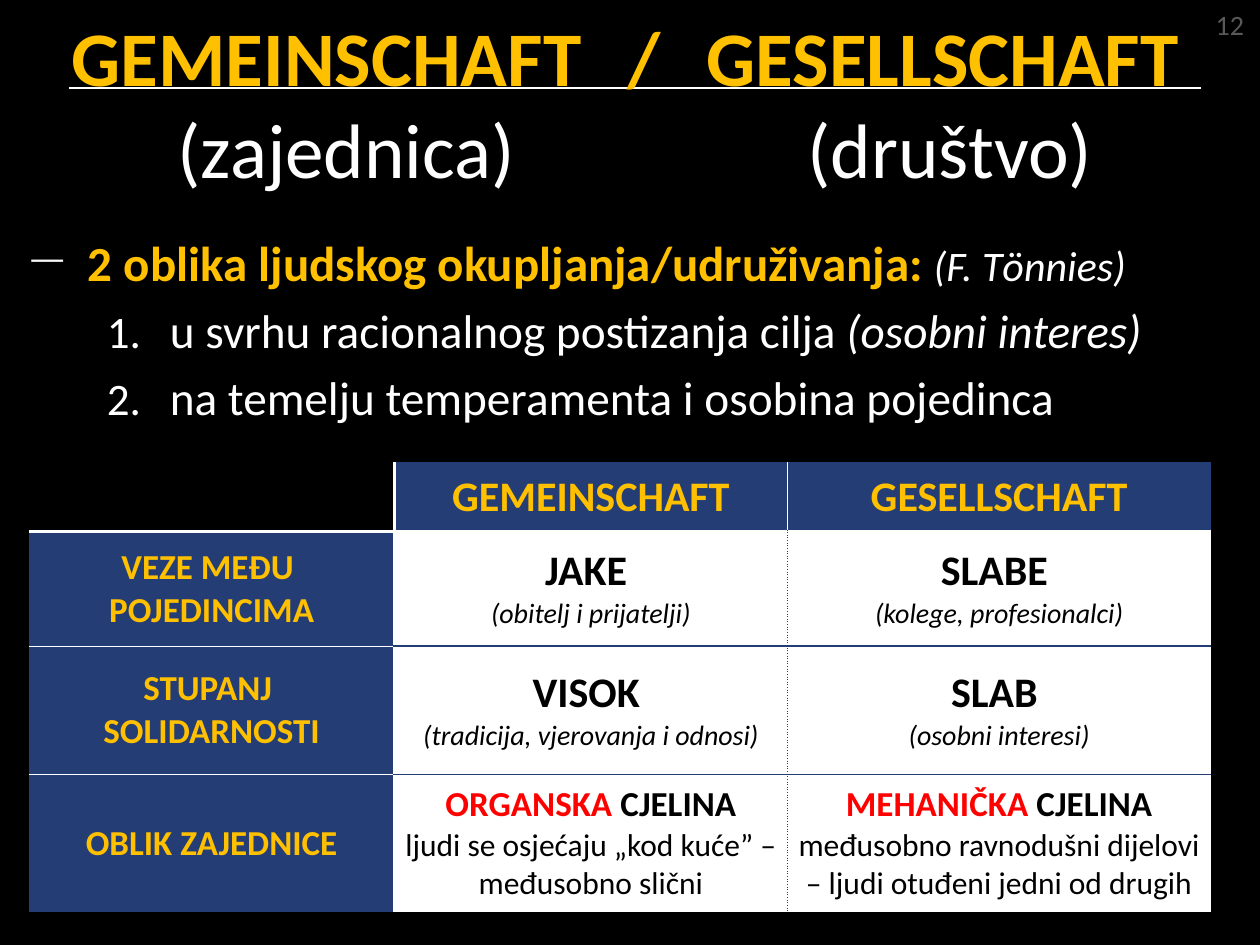
from lxml import etree
from pptx import Presentation
from pptx import util as u
from pptx.dml.color import RGBColor
from pptx.enum import shapes, text
from pptx.oxml import ns

BLACK = RGBColor(0x00, 0x00, 0x00)
WHITE = RGBColor(0xFF, 0xFF, 0xFF)
GOLD = RGBColor(0xFF, 0xC0, 0x00)
NAVY = RGBColor(0x25, 0x3D, 0x75)
RED = RGBColor(0xFF, 0x00, 0x00)
GREY = RGBColor(0x59, 0x59, 0x59)
DASH_GREY = RGBColor(0xF9, 0xF9, 0xF9)

FONT = "Calibri"
WIDTH, HEIGHT = 10, 7.5
COLUMNS = (2.9, 3.12, 3.36)
ROWS = (0.54, 0.91, 1.02, 1.08)
CELL_INSET = 0.07
NO_STYLE = "{2D5ABB26-0587-4C30-8999-92F81FD0307C}"

STYLES = {
    "title": (44.1, GOLD, True, False),
    "translation": (44.1, WHITE, False, False),
    "claim": (28, GOLD, True, False),
    "author": (24, WHITE, False, True),
    "point": (27, WHITE, False, False),
    "aside": (27, WHITE, False, True),
    "number": (16, GREY, False, False),
    "heading": (24, GOLD, True, False),
    "label": (20, GOLD, True, False),
    "degree": (24, BLACK, True, False),
    "example": (16, BLACK, False, True),
    "kind": (20, RED, True, False),
    "whole": (20, BLACK, True, False),
    "detail": (18, BLACK, False, False),
}

TITLE = [
    ([("GEMEINSCHAFT\t/\tGESELLSCHAFT", "title")], (4.41, 5.04)),
    ([("\t(zajednica)\t(društvo)", "translation")], (0.84, 5.84)),
]
DASH = ("buChar", {"char": "—"}, DASH_GREY, 65, 0.6, -0.45)
NUMERAL = ("buAutoNum", {"type": "arabicPeriod"}, WHITE, 95, 1.25, -0.5)
CLAIMS = [
    ([("2 oblika ljudskog okupljanja/udruživanja: ", "claim"), ("(F. Tӧnnies)", "author")], DASH),
    ([("u svrhu racionalnog postizanja cilja ", "point"), ("(osobni interes)", "aside")], NUMERAL),
    ([("na temelju temperamenta i osobina pojedinca", "point")], NUMERAL),
]


def degree(word, example):
    return [[(word + " ", "degree")], [(example, "example")]]


def whole(kind, detail):
    return [[(kind + " ", "kind"), ("CJELINA", "whole")], [(detail, "detail")]]


COMPARISON = [
    [[], [[("GEMEINSCHAFT", "heading")]], [[("GESELLSCHAFT", "heading")]]],
    [[[("VEZE MEĐU ", "label")], [("POJEDINCIMA", "label")]],
     degree("JAKE", "(obitelj i prijatelji)"),
     degree("SLABE", "(kolege, profesionalci)")],
    [[[("STUPANJ ", "label")], [("SOLIDARNOSTI", "label")]],
     degree("VISOK", "(tradicija, vjerovanja i odnosi)"),
     degree("SLAB", "(osobni interesi)")],
    [[[("OBLIK ZAJEDNICE", "label")]],
     whole("ORGANSKA", "ljudi se osjećaju „kod kuće” – međusobno slični"),
     whole("MEHANIČKA", "međusobno ravnodušni dijelovi – ljudi otuđeni jedni od drugih")],
]


def element(parent, tag, **attributes):
    return etree.SubElement(parent, ns.qn("a:" + tag), attributes)


def write(paragraph, runs):
    for words, style in runs:
        run = paragraph.add_run()
        run.text = words
        size, colour, bold, italic = STYLES[style]
        formats = {"name": FONT, "size": u.Pt(size), "bold": bold, "italic": italic}
        for attribute, value in formats.items():
            setattr(run.font, attribute, value)
        run.font.color.rgb = colour


def paragraphs(frame, count):
    return [frame.paragraphs[0]] + [frame.add_paragraph() for _ in range(count - 1)]


def text_frame(slide, box, **formats):
    frame = slide.shapes.add_textbox(*map(u.Inches, box)).text_frame
    for attribute, value in formats.items():
        setattr(frame, attribute, value)
    return frame


def add_rule(slide):
    left, right, y = u.Inches(0.55), u.Inches(9.53), u.Inches(0.7)
    rule = slide.shapes.add_connector(shapes.MSO_CONNECTOR.STRAIGHT, left, y, right, y)
    rule.line.color.rgb = WHITE
    rule.line.width = u.Pt(1)
    element(rule._element.spPr, "effectLst")


def add_title(slide):
    frame = text_frame(slide, (0.47, 0, 9, 1.02), word_wrap=True, margin_top=u.Inches(0.07))
    for paragraph, (runs, stops) in zip(paragraphs(frame, len(TITLE)), TITLE):
        tabs = element(paragraph._p.get_or_add_pPr(), "tabLst")
        for stop in stops:
            element(tabs, "tab", pos=str(u.Inches(stop)), algn="l")
        write(paragraph, runs)


def add_claims(slide):
    frame = text_frame(slide, (0, 1.8, WIDTH, 1.64), word_wrap=True)
    for paragraph, (runs, bullet) in zip(paragraphs(frame, len(CLAIMS)), CLAIMS):
        tag, attributes, colour, size, margin, indent = bullet
        paragraph.space_before = u.Pt(5.5)
        properties = paragraph._p.get_or_add_pPr()
        properties.set("marL", str(u.Inches(margin)))
        properties.set("indent", str(u.Inches(indent)))
        element(element(properties, "buClr"), "srgbClr", val=str(colour))
        element(properties, "buSzPct", val=str(size * 1000))
        element(properties, tag, **attributes)
        write(paragraph, runs)


def line_below(row, column):
    if row == 0:
        return WHITE, 2.25, "solid"
    return (WHITE, 0.25, "solid") if column == 0 else (NAVY, 1, "solid")


def line_right(row, column):
    if column == 0:
        return WHITE, 2.25, "solid"
    return (WHITE, 0.25, "solid") if row == 0 else (NAVY, 1, "sysDot")


def add_borders(cell, row, column):
    borders = {
        "lnL": line_right(row, column - 1) if column else None,
        "lnR": line_right(row, column) if column < len(COLUMNS) - 1 else None,
        "lnT": line_below(row - 1, column) if row else None,
        "lnB": line_below(row, column) if row < len(ROWS) - 1 else None,
    }
    for tag, border in borders.items():
        if border:
            colour, width, dash = border
            line = element(cell._tc.get_or_add_tcPr(), tag, w=str(u.Pt(width)))
            element(element(line, "solidFill"), "srgbClr", val=str(colour))
            element(line, "prstDash", val=dash)


def add_comparison(slide):
    box = (0.23, 3.67, sum(COLUMNS), sum(ROWS))
    table = slide.shapes.add_table(len(ROWS), len(COLUMNS), *map(u.Inches, box)).table
    table.first_row = table.horz_banding = False
    table._tbl.tblPr.find(ns.qn("a:tableStyleId")).text = NO_STYLE
    for column, width in zip(table.columns, COLUMNS):
        column.width = u.Inches(width)
    for row, height in zip(table.rows, ROWS):
        row.height = u.Inches(height)
    for r, entries in enumerate(COMPARISON):
        for c, entry in enumerate(entries):
            cell = table.cell(r, c)
            cell.vertical_anchor = text.MSO_ANCHOR.MIDDLE
            for side in ("left", "right", "top", "bottom"):
                setattr(cell, "margin_" + side, u.Inches(CELL_INSET))
            add_borders(cell, r, c)
            if not entry:
                cell.fill.background()
                continue
            cell.fill.solid()
            cell.fill.fore_color.rgb = WHITE if r and c else NAVY
            for paragraph, runs in zip(paragraphs(cell.text_frame, len(entry)), entry):
                paragraph.alignment = text.PP_ALIGN.CENTER
                write(paragraph, runs)


def main():
    deck = Presentation()
    deck.slide_width, deck.slide_height = u.Inches(WIDTH), u.Inches(HEIGHT)
    slide = deck.slides.add_slide(deck.slide_layouts[6])
    slide.background.fill.solid()
    slide.background.fill.fore_color.rgb = BLACK
    add_rule(slide)
    add_comparison(slide)
    add_claims(slide)
    add_title(slide)
    number = text_frame(slide, (9.55, 0.01, 0.43, 0.37), word_wrap=False)
    write(number.paragraphs[0], [("12", "number")])
    deck.save("out.pptx")


if __name__ == "__main__":
    main()
